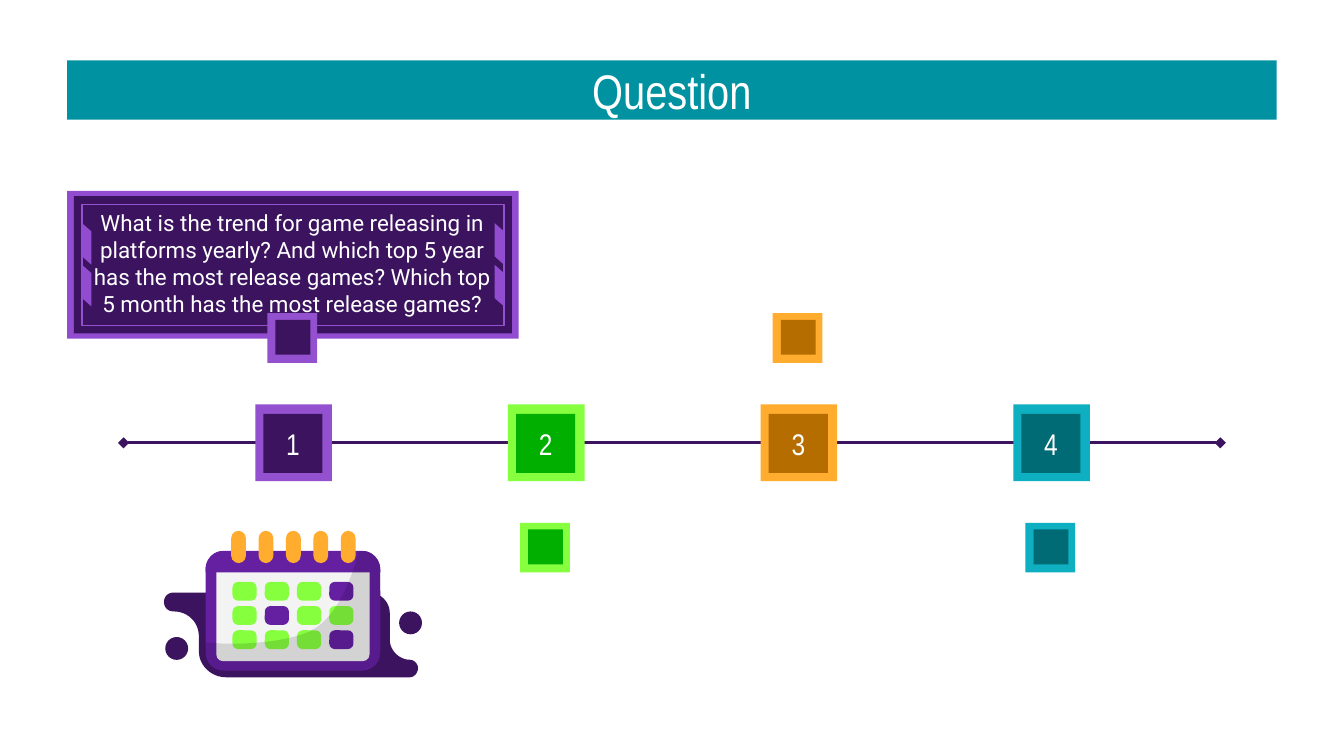
from dataclasses import dataclass

from lxml import etree
from pptx import Presentation
from pptx import util as u
from pptx.dml.color import RGBColor
from pptx.enum import shapes as kinds, text
from pptx.oxml.ns import qn

PX = 9144  # 100 px to the inch
KIND = kinds.MSO_SHAPE


@dataclass(frozen=True)
class Theme:
    white: str = "FFFFFF"
    banner: str = "0092A1"
    ink: str = "3B135E"
    violet: str = "6520A2"
    lilac: str = "9451CF"
    card_edge: str = "924CCF"
    lime: str = "86FF3F"
    green: str = "00AF00"
    amber: str = "FFAC2F"
    brown: str = "B56D00"
    aqua: str = "0DAFC0"
    teal: str = "006A75"
    page: str = "F3F3F3"
    shade: str = "000000"
    heading_font: str = "Arial Narrow"
    body_font: str = "Roboto"
    title_size: int = 26
    number_size: int = 16
    body_size: int = 12


THEME = Theme()


def px(*lengths):
    return [u.Emu(round(length * PX)) for length in lengths]


def paint(shape, fill=None, line=None, weight=0.75):
    shape.shadow.inherit = False
    if fill:
        shape.fill.solid()
        shape.fill.fore_color.rgb = RGBColor.from_string(fill)
    else:
        shape.fill.background()
    if line:
        shape.line.color.rgb = RGBColor.from_string(line)
        shape.line.width = u.Pt(weight)
    else:
        shape.line.fill.background()
    return shape


def block(parent, kind, box, fill=None, line=None, corner=None):
    shape = paint(parent.shapes.add_shape(kind, *px(*box)), fill, line)
    if corner is not None:
        shape.adjustments[0] = corner
    return shape


def write(shape, words, font, size):
    frame = shape.text_frame
    frame.word_wrap = True
    frame.auto_size = text.MSO_AUTO_SIZE.NONE
    frame.vertical_anchor = text.MSO_ANCHOR.MIDDLE
    frame.margin_left, frame.margin_top, frame.margin_right, frame.margin_bottom = px(10, 10, 10, 10)
    paragraph = frame.paragraphs[0]
    paragraph.alignment = text.PP_ALIGN.CENTER
    run = paragraph.add_run()
    run.text = words
    run.font.name = font
    run.font.size = u.Pt(size)
    run.font.color.rgb = RGBColor.from_string(THEME.white)


def outline(parent, origin, start, segments, fill, steps=12):
    """Closed outline: pairs are straight segments, sixes are Bézier curves."""
    points = [start]
    for segment in segments:
        if len(segment) == 2:
            points.append(segment)
            continue
        knots = [points[-1], segment[:2], segment[2:4], segment[4:]]
        for step in range(1, steps + 1):
            t = step / steps
            weights = ((1 - t) ** 3, 3 * t * (1 - t) ** 2, 3 * t * t * (1 - t), t ** 3)
            points.append(tuple(sum(w * knot[axis] for w, knot in zip(weights, knots))
                                for axis in (0, 1)))
    placed = [px(origin[0] + x, origin[1] + y) for x, y in points]
    builder = parent.shapes.build_freeform(*placed[0], scale=1.0)
    builder.add_line_segments(placed[1:], close=True)
    return paint(builder.convert_to_shape(), fill)


def title_banner(slide, box):
    title = slide.shapes.title
    title.left, title.top, title.width, title.height = px(*box)
    title.fill.solid()
    title.fill.fore_color.rgb = RGBColor.from_string(THEME.banner)
    write(title, "Question", THEME.heading_font, THEME.title_size)


def timeline_axis(slide, x1, x2, y):
    axis = slide.shapes.add_connector(kinds.MSO_CONNECTOR.STRAIGHT, *px(x1, y, x2, y))
    axis.line.color.rgb = RGBColor.from_string(THEME.ink)
    axis.line.width = u.Pt(1.5)
    properties = axis._element.spPr
    for end in ("a:headEnd", "a:tailEnd"):
        etree.SubElement(properties.find(qn("a:ln")), qn(end), type="diamond")
    etree.SubElement(properties, qn("a:effectLst"))


def card_frame(slide, box):
    x, y, w, h = box
    card = slide.shapes.add_group_shape()
    layers = ((0, 0, THEME.card_edge, None), (5, 4, THEME.ink, None), (11, 10, None, THEME.lilac))
    for dx, dy, fill, line in layers:
        block(card, KIND.ROUNDED_RECTANGLE, (x + dx, y + dy, w - 2 * dx, h - 2 * dy),
              fill, line, corner=0)
    # Slanted tabs on both sides
    for dx in (-1, w - 30):
        for dy in (36, 67):
            block(card, KIND.FLOWCHART_DATA, (x + dx, y + dy, 31, 7), THEME.card_edge).rotation = 90


def card_text(slide, box):
    question = slide.shapes.add_textbox(*px(*box))
    write(question, "What is the trend for game releasing in platforms yearly? "
                    "And which top 5 year has the most release games? "
                    "Which top 5 month has the most release games?",
          THEME.body_font, THEME.body_size)


def step(slide, box, number, rim, core, marker_dy):
    x, y, w, h = box
    group = slide.shapes.add_group_shape()
    # Numbered badge
    block(group, KIND.RECTANGLE, box, rim)
    badge = block(group, KIND.RECTANGLE, (x + 6, y + 7, 44, 44), core)
    write(badge, str(number), THEME.heading_font, THEME.number_size)
    # Small marker above or below
    block(group, KIND.RECTANGLE, (x + 9, y + marker_dy, 37, 37), rim)
    block(group, KIND.RECTANGLE, (x + 15, y + marker_dy + 5, 26, 26), core)


def calendar(slide, box):
    x, y, w, h = box
    icon = slide.shapes.add_group_shape()
    # Backdrop wave and dots
    outline(icon, (x, y), (7, 46),
            [(3, 46, 0, 49, 0, 53), (0, 57, 3, 60, 7, 60), (18, 60, 26, 68, 26, 79), (26, 90),
             (26, 100, 35, 109, 46, 109), (183, 109), (186, 109, 189, 106, 189, 102),
             (189, 99, 186, 96, 183, 96), (175, 96, 168, 89, 168, 81), (168, 61),
             (168, 53, 161, 46, 153, 46)], THEME.ink)
    for dx, dy in ((1, 79), (175, 60)):
        block(icon, KIND.OVAL, (x + dx, y + dy, 17, 17), THEME.ink)
    # Cover and page
    block(icon, KIND.ROUNDED_RECTANGLE, (x + 31, y + 15, 130, 89), THEME.violet, corner=0.15)
    block(icon, KIND.ROUNDED_RECTANGLE, (x + 39, y + 24, 114, 73), THEME.page, corner=0.07)
    # Days
    marked = {(0, 3), (1, 1), (2, 3)}
    for row in range(3):
        for column in range(4):
            block(icon, KIND.ROUNDED_RECTANGLE, (x + 51 + 24 * column, y + 38 + 18 * row, 18, 14),
                  THEME.violet if (row, column) in marked else THEME.lime, corner=0.3)
    # Top strip and rings
    outline(icon, (x, y), (148, 15),
            [(44, 15), (37, 15, 31, 21, 31, 29), (31, 31), (161, 31), (161, 29),
             (161, 22, 155, 15, 148, 15)], THEME.violet)
    for ring in range(5):
        block(icon, KIND.ROUNDED_RECTANGLE, (x + 50 + 20.4 * ring, y, 11, 24),
              THEME.amber, corner=0.5)
    # Translucent shade
    shade = outline(icon, (x, y), (145, 15),
                    [(142, 27, 131, 65, 108, 75), (92, 82, 67, 84, 49, 84),
                     (41, 84, 35, 83, 31, 83), (31, 91), (31, 98, 37, 104, 44, 104), (148, 104),
                     (155, 104, 161, 98, 161, 91), (161, 29), (161, 21, 155, 15, 148, 15)],
                    THEME.shade)
    color = shade._element.spPr.find(qn("a:solidFill")).find(qn("a:srgbClr"))
    etree.SubElement(color, qn("a:alpha"), val="13000")


def main():
    deck = Presentation()
    deck.slide_width, deck.slide_height = px(1000, 1000 * 9 / 16)
    slide = deck.slides.add_slide(deck.slide_layouts[5])
    title_banner(slide, (50, 45, 900, 44))
    badge_top, badge_size = 301, 57
    timeline_axis(slide, 92, 908, badge_top + badge_size / 2)
    card_frame(slide, (50, 142, 336, 110))
    palette = ((THEME.lilac, THEME.ink), (THEME.lime, THEME.green),
               (THEME.amber, THEME.brown), (THEME.aqua, THEME.teal))
    for index, (rim, core) in enumerate(palette):
        step(slide, (190 + 188 * index, badge_top, badge_size, badge_size), index + 1, rim, core,
             marker_dy=88 if index % 2 else -68)
    card_text(slide, (55, 151, 325, 89))
    calendar(slide, (122, 395, 192, 109))
    deck.save("out.pptx")


if __name__ == "__main__":
    main()
